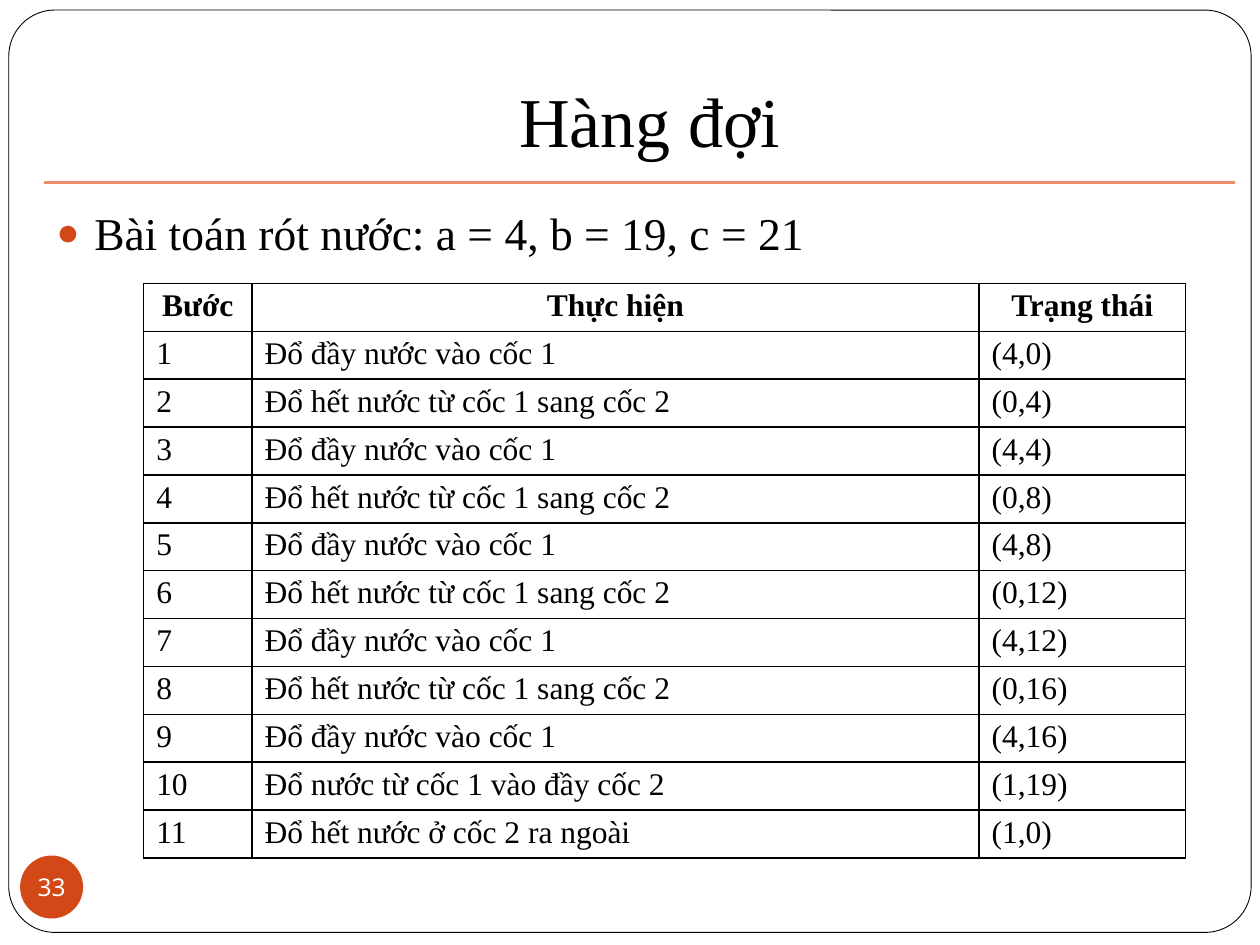
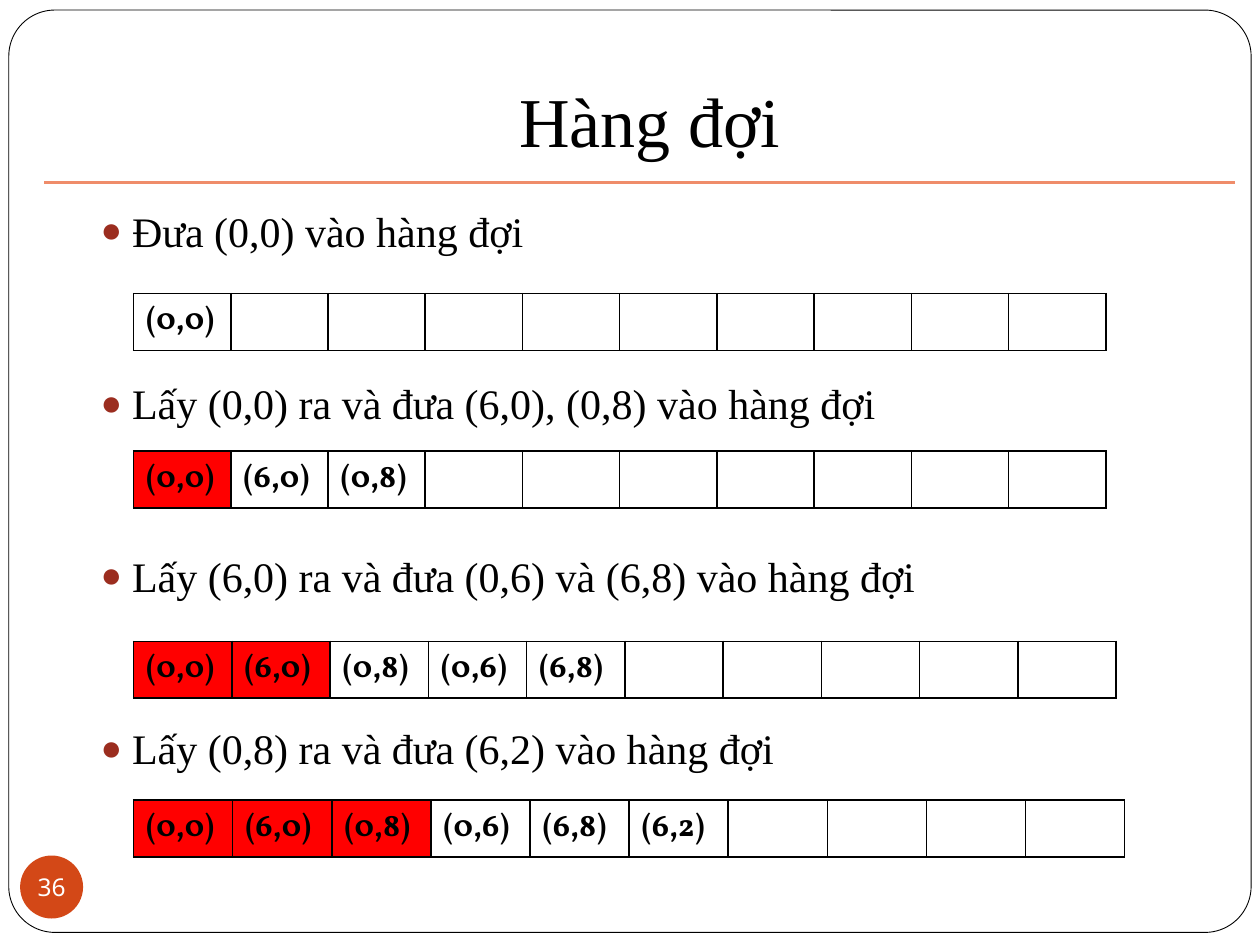
from dataclasses import dataclass
from itertools import cycle

from lxml import etree
from pptx import Presentation
from pptx import util as u
from pptx.dml.color import RGBColor
from pptx.enum import shapes, text
from pptx.oxml import ns

COLORS = {
    "ink": "000000",
    "paper": "FFFFFF",
    "accent": "D34817",
    "rule": "EF8C6A",
    "bullet": "9B2D1F",
    "taken": "FF0000",
}
SERIF, SANS, QUEUE_FONT = "Times New Roman", "Noto Sans", "Vollkorn"
CENTER = text.PP_ALIGN.CENTER

# The page is a grid of 100 columns by 75 rows
COLUMNS, ROWS = 100, 75
PAGE_WIDTH, PAGE_HEIGHT = u.Inches(10), u.Inches(7.5)


def across(columns: float) -> int:
    return round(PAGE_WIDTH * columns / COLUMNS)


def down(rows: float) -> int:
    return round(PAGE_HEIGHT * rows / ROWS)


@dataclass(frozen=True)
class Area:
    left: float
    top: float
    width: float
    height: float

    def lengths(self) -> tuple:
        return across(self.left), down(self.top), across(self.width), down(self.height)


@dataclass(frozen=True)
class Bullet:
    color: str
    margin: float
    hang: float


@dataclass(frozen=True)
class QueueStep:
    caption: str
    top: float
    cell_width: float
    taken: int
    states: tuple


FRAME = Area(0.7, 0.8, 98.6, 73.2)
TITLE = Area(5.1, 1.3, 92.9, 12.5)
BODY = Area(3.5, 15.8, 91.3, 54.7)
BADGE = Area(1.6, 67.9, 5, 5)
MAIN_BULLET = Bullet("accent", 3, 3)
SUB_BULLET = Bullet("bullet", 6, 2.5)


# Helpers
def rgb(name: str) -> RGBColor:
    return RGBColor.from_string(COLORS[name])


def write(para, words: str, *, size: float, font: str = SERIF, color: str = "ink",
          bold: bool = False, align=None, before: float = 0) -> None:
    para.alignment = align
    para.space_before = u.Pt(before)
    span = para.add_run()
    span.text = words
    span.font.size = u.Pt(size)
    span.font.name = font
    span.font.bold = bold
    span.font.color.rgb = rgb(color)


def add_bullet(para, bullet: Bullet) -> None:
    settings = para._p.get_or_add_pPr()
    settings.set("marL", str(across(bullet.margin)))
    settings.set("indent", str(-across(bullet.hang)))
    color = etree.SubElement(settings, ns.qn("a:buClr"))
    etree.SubElement(color, ns.qn("a:srgbClr"), val=COLORS[bullet.color])
    etree.SubElement(settings, ns.qn("a:buSzPct"), val="85000")
    etree.SubElement(settings, ns.qn("a:buFont"), typeface="Arial")
    etree.SubElement(settings, ns.qn("a:buChar"), char="●")


def add_shape(page, kind, area: Area, fill: str):
    shape = page.shapes.add_shape(kind, *area.lengths())
    shape.shadow.inherit = False
    shape.fill.solid()
    shape.fill.fore_color.rgb = rgb(fill)
    shape.line.fill.background()
    return shape


def add_text_box(page, area: Area):
    frame = page.shapes.add_textbox(*area.lengths()).text_frame
    frame.word_wrap = True
    return frame


def add_bullets(page, lines: list, bullet: Bullet, *, size: float,
                first: float, gap: float) -> None:
    frame = add_text_box(page, BODY)
    for index, line in enumerate(lines):
        para = frame.add_paragraph() if index else frame.paragraphs[0]
        write(para, line, size=size, before=gap if index else first)
        add_bullet(para, bullet)


def add_borders(cell) -> None:
    settings = cell._tc.get_or_add_tcPr()
    for index, side in enumerate(("lnL", "lnR", "lnT", "lnB")):
        line = etree.Element(ns.qn(f"a:{side}"), w=str(u.Pt(1)))
        fill = etree.SubElement(line, ns.qn("a:solidFill"))
        etree.SubElement(fill, ns.qn("a:srgbClr"), val=COLORS["ink"])
        settings.insert(index, line)


def add_grid(page, left: float, top: float, widths: list, row_height: float, row_count: int):
    area = Area(left, top, sum(widths), row_height * row_count)
    table = page.shapes.add_table(row_count, len(widths), *area.lengths()).table
    table.first_row = table.horz_banding = False
    for column, width in zip(table.columns, widths):
        column.width = across(width)
    for row in table.rows:
        row.height = down(row_height)
        for cell in row.cells:
            cell.fill.background()
            add_borders(cell)
    return table


# Shared page: frame, title, rule and number
def add_page(deck, title: str, number: int):
    page = deck.slides.add_slide(deck.slide_layouts[6])
    frame = add_shape(page, shapes.MSO_SHAPE.ROUNDED_RECTANGLE, FRAME, "paper")
    frame.adjustments[0] = 0.05
    frame.line.color.rgb = rgb("ink")
    frame.line.width = u.Pt(0.5)

    heading = add_text_box(page, TITLE)
    heading.vertical_anchor = text.MSO_ANCHOR.BOTTOM
    heading.margin_bottom = u.Inches(0.1)
    write(heading.paragraphs[0], title, size=40, align=CENTER)

    rule = page.shapes.add_connector(shapes.MSO_CONNECTOR.STRAIGHT,
                                     across(3.5), down(14.5), across(98), down(14.5))
    rule.line.color.rgb = rgb("rule")
    rule.line.width = u.Pt(2)
    etree.SubElement(rule._element.spPr, ns.qn("a:effectLst"))

    badge = add_shape(page, shapes.MSO_SHAPE.OVAL, BADGE, "accent").text_frame
    badge.margin_left = badge.margin_right = badge.margin_top = badge.margin_bottom = 0
    badge.word_wrap = False
    badge.vertical_anchor = text.MSO_ANCHOR.MIDDLE
    write(badge.paragraphs[0], str(number), size=14, font=SANS, color="paper", align=CENTER)
    return page


# Pouring water: table of steps
HEADER = ("Bước", "Thực hiện", "Trạng thái")
FILL_FIRST = "Đổ đầy nước vào cốc 1"
POUR_ALL = "Đổ hết nước từ cốc 1 sang cốc 2"
ALTERNATING = ["(4,0)", "(0,4)", "(4,4)", "(0,8)", "(4,8)",
               "(0,12)", "(4,12)", "(0,16)", "(4,16)"]
ACTIONS = list(zip(cycle((FILL_FIRST, POUR_ALL)), ALTERNATING)) + [
    ("Đổ nước từ cốc 1 vào đầy cốc 2", "(1,19)"),
    ("Đổ hết nước ở cốc 2 ra ngoài", "(1,0)"),
]


def build_pouring_page(deck) -> None:
    page = add_page(deck, "Hàng đợi", 33)
    add_bullets(page, ["Bài toán rót nước: a = 4, b = 19, c = 21"], MAIN_BULLET,
                size=26, first=5.8, gap=0)
    records = [HEADER] + [(str(step), *action) for step, action in enumerate(ACTIONS, 1)]
    table = add_grid(page, 11.4, 22.5, [8.6, 57.7, 16.4], 3.78, len(records))
    for row, record in enumerate(records):
        for column, words in enumerate(record):
            cell = table.cell(row, column)
            cell.margin_top = cell.margin_bottom = u.Inches(0.04)
            write(cell.text_frame.paragraphs[0], words, size=18, bold=row == 0,
                  align=CENTER if row == 0 else None)


# Queue contents: one strip of cells after each step
QUEUE_LENGTH = 10
QUEUE_STEPS = [
    QueueStep("Đưa (0,0) vào hàng đợi", 23.3, 7.72, 0, ("(0,0)",)),
    QueueStep("Lấy (0,0) ra và đưa (6,0), (0,8) vào hàng đợi", 35.8, 7.72, 1,
              ("(0,0)", "(6,0)", "(0,8)")),
    QueueStep("Lấy (6,0) ra và đưa (0,6) và (6,8) vào hàng đợi", 50.9, 7.8, 2,
              ("(0,0)", "(6,0)", "(0,8)", "(0,6)", "(6,8)")),
    QueueStep("Lấy (0,8) ra và đưa (6,2) vào hàng đợi", 63.5, 7.87, 3,
              ("(0,0)", "(6,0)", "(0,8)", "(0,6)", "(6,8)", "(6,2)")),
]


def add_queue(page, step: QueueStep) -> None:
    table = add_grid(page, 10.6, step.top, [step.cell_width] * QUEUE_LENGTH, 4.5, 1)
    for column, state in enumerate(step.states):
        cell = table.cell(0, column)
        write(cell.text_frame.paragraphs[0], state, size=18, font=QUEUE_FONT, bold=True)
        if column < step.taken:
            cell.fill.solid()
            cell.fill.fore_color.rgb = rgb("taken")


def build_queue_page(deck) -> None:
    page = add_page(deck, "Hàng đợi", 36)
    add_bullets(page, [step.caption for step in QUEUE_STEPS], SUB_BULLET,
                size=24, first=3.7, gap=69.8)
    for step in QUEUE_STEPS:
        add_queue(page, step)


deck = Presentation()
deck.slide_width, deck.slide_height = PAGE_WIDTH, PAGE_HEIGHT
build_pouring_page(deck)
build_queue_page(deck)
deck.save("out.pptx")
